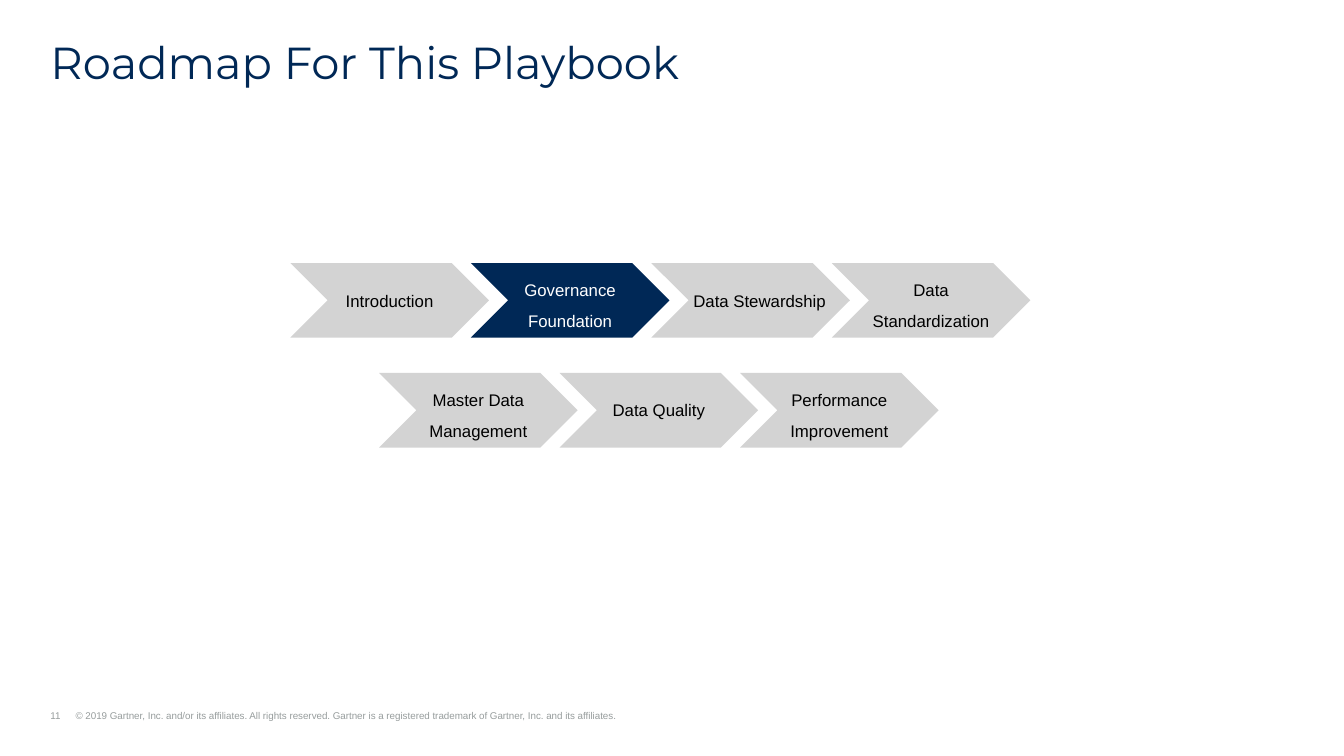
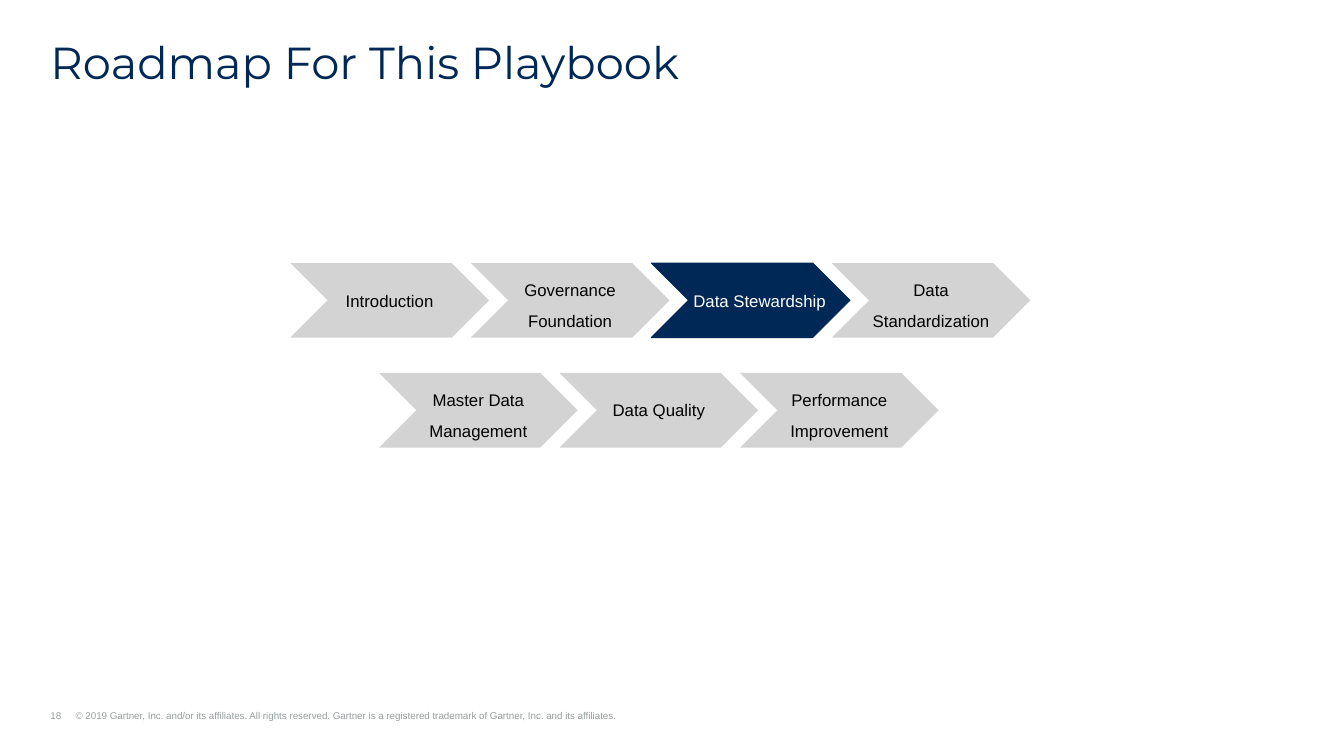
from dataclasses import dataclass

import pptx
import pptx.dml.color
import pptx.enum.shapes
import pptx.enum.text
import pptx.oxml
import pptx.oxml.ns
import pptx.presentation
import pptx.shapes.autoshape
import pptx.slide
import pptx.text.text
import pptx.util

Inches = pptx.util.Inches
Pt = pptx.util.Pt
Align = pptx.enum.text.PP_ALIGN
Anchor = pptx.enum.text.MSO_ANCHOR


@dataclass(frozen=True)
class Theme:
    navy: str = "002856"
    gray: str = "D3D3D3"
    black: str = "000000"
    white: str = "FFFFFF"
    footer_gray: str = "979D9D"
    title_font: str = "Montserrat"
    body_font: str = "Arial"
    title_size: float = 32
    step_size: float = 12
    footer_size: float = 7


@dataclass(frozen=True)
class Step:
    label: str
    row: int
    column: int
    spacing: float | pptx.util.Length = 1.0
    wraps: bool = False
    indent: float = 0


@dataclass(frozen=True)
class RoadmapPage:
    number: int
    current: str
    outlined: bool = False


THEME = Theme()
TITLE = "Roadmap For This Playbook"
COPYRIGHT = (
    "© 2019 Gartner, Inc. and/or its affiliates. All rights reserved. "
    "Gartner is a registered trademark of Gartner, Inc. and its affiliates."
)

# Page and chevron grid, in inches
PAGE_WIDTH, PAGE_HEIGHT = 13.33, 7.5
MARGIN = 0.5
ROW_LEFTS = (2.88, 3.76)
ROW_TOP, ROW_PITCH = 2.61, 1.09
COLUMN_PITCH = 1.79
STEP_WIDTH, STEP_HEIGHT = 1.97, 0.74
FOOTER_TAB = 0.25

STEPS = (
    Step("Introduction", 0, 0),
    Step("Governance Foundation", 0, 1, Pt(22), wraps=True),
    Step("Data Stewardship", 0, 2, indent=0.18),
    Step("Data\nStandardization", 0, 3, 1.5),
    Step("Master Data Management", 1, 0, 1.5, wraps=True),
    Step("Data Quality", 1, 1),
    Step("Performance Improvement", 1, 2, 1.5, wraps=True),
)
PAGES = (
    RoadmapPage(11, "Governance Foundation"),
    RoadmapPage(18, "Data Stewardship", outlined=True),
)


def rgb(value: str) -> pptx.dml.color.RGBColor:
    return pptx.dml.color.RGBColor.from_string(value)


def style_runs(para: pptx.text.text._Paragraph, font: str, size: float, color: str) -> None:
    for span in para.runs:
        span.font.name = font
        span.font.size = Pt(size)
        span.font.color.rgb = rgb(color)


def set_frame(frame: pptx.text.text.TextFrame, anchor: Anchor, wraps: bool = True) -> None:
    frame.margin_left = frame.margin_right = 0
    frame.margin_top = frame.margin_bottom = 0
    frame.vertical_anchor = anchor
    frame.word_wrap = wraps
    frame.auto_size = pptx.enum.text.MSO_AUTO_SIZE.NONE


def add_title(page: pptx.slide.Slide) -> None:
    title = page.shapes.title
    title.left, title.top = Inches(MARGIN), Inches(0.4)
    title.width, title.height = Inches(PAGE_WIDTH - 2 * MARGIN), Inches(0.48)
    set_frame(title.text_frame, Anchor.TOP)
    title.text_frame.text = TITLE
    para = title.text_frame.paragraphs[0]
    para.alignment = Align.LEFT
    para.line_spacing = 0.9
    para.space_after = Pt(12)
    style_runs(para, THEME.title_font, THEME.title_size, THEME.navy)


def add_footer(page: pptx.slide.Slide, number: int) -> None:
    box = page.shapes.add_textbox(Inches(MARGIN), Inches(7.04), Inches(7.99), Inches(0.12))
    set_frame(box.text_frame, Anchor.BOTTOM)
    box.text_frame.text = f"{number}\t{COPYRIGHT}"
    para = box.text_frame.paragraphs[0]
    # Hanging indent with a tab stop after the page number
    properties = para._p.get_or_add_pPr()
    offset = Inches(FOOTER_TAB)
    properties.set("marL", str(offset))
    properties.set("indent", str(-offset))
    properties.append(pptx.oxml.parse_xml(
        f'<a:tabLst {pptx.oxml.ns.nsdecls("a")}><a:tab pos="{offset}" algn="l"/></a:tabLst>'
    ))
    style_runs(para, THEME.body_font, THEME.footer_size, THEME.footer_gray)


def add_step(page: pptx.slide.Slide, step: Step, current: bool, outlined: bool) -> None:
    chevron = page.shapes.add_shape(
        pptx.enum.shapes.MSO_SHAPE.CHEVRON,
        Inches(ROW_LEFTS[step.row] + step.column * COLUMN_PITCH),
        Inches(ROW_TOP + step.row * ROW_PITCH),
        Inches(STEP_WIDTH), Inches(STEP_HEIGHT),
    )
    chevron.adjustments[0] = 0.5
    chevron.shadow.inherit = False
    chevron.fill.solid()
    chevron.fill.fore_color.rgb = rgb(THEME.navy if current else THEME.gray)
    if current and outlined:
        chevron.line.color.rgb = rgb(THEME.navy)
        chevron.line.width = Pt(0.75)
    else:
        chevron.line.fill.background()

    frame = chevron.text_frame
    set_frame(frame, Anchor.MIDDLE, step.wraps)
    frame.margin_left = Inches(step.indent)
    frame.text = step.label
    for para in frame.paragraphs:
        para.alignment = Align.CENTER
        para.line_spacing = step.spacing
        style_runs(para, THEME.body_font, THEME.step_size,
                   THEME.white if current else THEME.black)


def add_page(deck: pptx.presentation.Presentation, roadmap: RoadmapPage) -> None:
    page = deck.slides.add_slide(deck.slide_layouts.get_by_name("Title Only"))
    add_footer(page, roadmap.number)
    add_title(page)
    for step in STEPS:
        add_step(page, step, step.label == roadmap.current, roadmap.outlined)


def main() -> None:
    deck = pptx.Presentation()
    deck.slide_width, deck.slide_height = Inches(PAGE_WIDTH), Inches(PAGE_HEIGHT)
    for roadmap in PAGES:
        add_page(deck, roadmap)
    deck.save("out.pptx")


if __name__ == "__main__":
    main()
